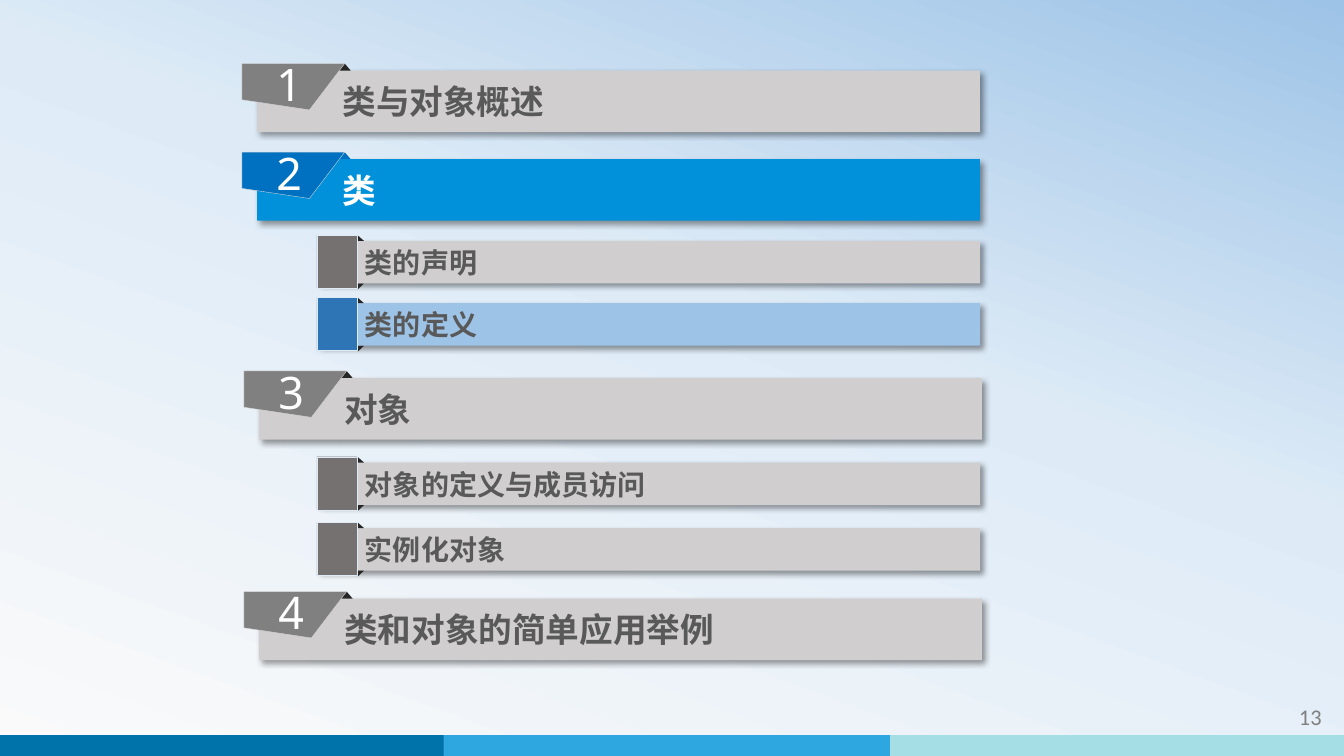
from copy import deepcopy

from lxml import etree
from pptx import Presentation
from pptx.dml.color import RGBColor
from pptx.enum.shapes import MSO_SHAPE
from pptx.enum.text import MSO_ANCHOR, PP_ALIGN
from pptx.oxml import parse_xml
from pptx.oxml.ns import nsdecls, qn
from pptx.util import Pt

RECT = MSO_SHAPE.RECTANGLE
PEAK = MSO_SHAPE.ISOSCELES_TRIANGLE
MID = MSO_ANCHOR.MIDDLE
LEFT, MIDST, RIGHT = PP_ALIGN.LEFT, PP_ALIGN.CENTER, PP_ALIGN.RIGHT

HAN = "Noto Sans CJK SC"
GREY, DARK, BLACK, WHITE = "D0CECE", "595959", "262626", "FFFFFF"
HEAD = {"name": HAN, "size": Pt(24), "bold": True}
ITEM = {"name": HAN, "size": Pt(20), "bold": True}
DIGIT = {"name": "Noto Sans", "size": Pt(32)}
PAGE = {"name": "Calibri", "size": Pt(16)}

SHADE = (
    f'<a:effectLst {nsdecls("a")}>'
    f'<a:outerShdw blurRad="{Pt(4)}" dist="{Pt(3)}" dir="2700000" algn="tl" rotWithShape="0">'
    '<a:srgbClr val="000000"><a:alpha val="40000"/></a:srgbClr>'
    "</a:outerShdw></a:effectLst>"
)

HEADS = [
    (172.8, 45.4, "1", "类与对象概述", GREY, DARK, "808080", BLACK),
    (172.8, 108.7, "2", "类", "0091DA", WHITE, "0070C0", "0070C0"),
    (174.2, 265, "3", "对象", GREY, DARK, "808080", BLACK),
    (174.2, 422.6, "4", "类和对象的简单应用举例", GREY, DARK, "808080", BLACK),
]
ITEMS = [
    (167.9, "类的声明", GREY, "767171"),
    (212.4, "类的定义", "9DC3E6", "2E75B6"),
    (326.2, "对象的定义与成员访问", GREY, "767171"),
    (373, "实例化对象", GREY, "767171"),
]
FOOT = [(-2.2, "0073AB"), (316.8, "2EA7E0"), (635.8, "A5DEE4")]


def color(code):
    return RGBColor.from_string(code)


def paint(shape, fill, line=None):
    shape.shadow.inherit = False
    shape.fill.solid()
    shape.fill.fore_color.rgb = color(fill)
    if line:
        shape.line.color.rgb = color(line)
        shape.line.width = Pt(0.25)
    else:
        shape.line.fill.background()


def block(slide, kind, box, fill, line=None):
    shape = slide.shapes.add_shape(kind, *map(Pt, box))
    paint(shape, fill, line)
    return shape


def write(shape, text, style, code, align, pad):
    frame = shape.text_frame
    frame.word_wrap = True
    frame.vertical_anchor = MID
    sides = ("margin_left", "margin_top", "margin_right", "margin_bottom")
    for side, size in zip(sides, pad):
        setattr(frame, side, Pt(size))
    para = frame.paragraphs[0]
    para.alignment = align
    run = para.add_run()
    run.text = text
    for key, value in style.items():
        setattr(run.font, key, value)
    run.font.color.rgb = color(code)
    east = etree.SubElement(run.font._element, qn("a:ea"))
    east.set("typeface", style["name"])


def bar(slide, box, fill, text, style, code, inset):
    shape = block(slide, RECT, box, fill)
    props = shape._element.spPr
    props.remove(props.find(qn("a:effectLst")))
    props.append(parse_xml(SHADE))
    write(shape, text, style, code, LEFT, (inset, 3.6, 7.2, 3.6))


def flag(slide, x, y, digit, fill):
    edge = [(73.4, 0), (48.2, 33.1), (0, 25.9)]
    form = slide.shapes.build_freeform(Pt(x), Pt(y))
    form.add_line_segments([(Pt(x + dx), Pt(y + dy)) for dx, dy in edge])
    shape = form.convert_to_shape()
    paint(shape, fill, "D9D9D9")
    write(shape, digit, DIGIT, WHITE, MIDST, (6.5, 2.9, 12.2, 7.2))


def head(slide, x, y, digit, text, fill, code, tag, fold):
    bar(slide, (x + 10.8, y + 5, 516.4, 44), fill, text, HEAD, code, 61)
    block(slide, PEAK, (x + 69.1, y, 8.6, 5), fold)
    flag(slide, x, y, digit, tag)


def item(slide, y, text, fill, tag):
    bar(slide, (227.2, y + 4.2, 473, 30.4), fill, text, ITEM, DARK, 33.5)
    block(slide, PEAK, (251.4, y + 0.4, 8.6, 3.8), BLACK)
    block(slide, PEAK, (251.4, y + 34.6, 8.6, 4), BLACK).rotation = 180
    block(slide, RECT, (226.4, y, 28.6, 38), tag, "DEEBF7")


def backdrop(slide):
    fill = slide.background.fill
    fill.gradient()
    fill.gradient_angle = 70
    stops = slide.element.find(".//" + qn("a:gsLst"))
    stops.append(deepcopy(stops[0]))
    tones = [(0, "FAFAFA"), (0.58, "DEEBF7"), (1, "9DC3E6")]
    for stop, (place, code) in zip(fill.gradient_stops, tones):
        stop.position = place
        stop.color.rgb = color(code)


def main():
    deck = Presentation()
    deck.slide_width, deck.slide_height = Pt(960), Pt(540)
    slide = deck.slides.add_slide(deck.slide_layouts[6])
    backdrop(slide)
    for x, fill in FOOT:
        block(slide, RECT, (x, 525, 324.2, 15), fill)
    page = slide.shapes.add_textbox(Pt(836.6), Pt(497.5), Pt(114.5), Pt(28.8))
    write(page, "13", PAGE, "808080", RIGHT, (7.2, 3.6, 7.2, 3.6))
    for row in HEADS:
        head(slide, *row)
    for row in ITEMS:
        item(slide, *row)
    deck.save("out.pptx")


if __name__ == "__main__":
    main()
